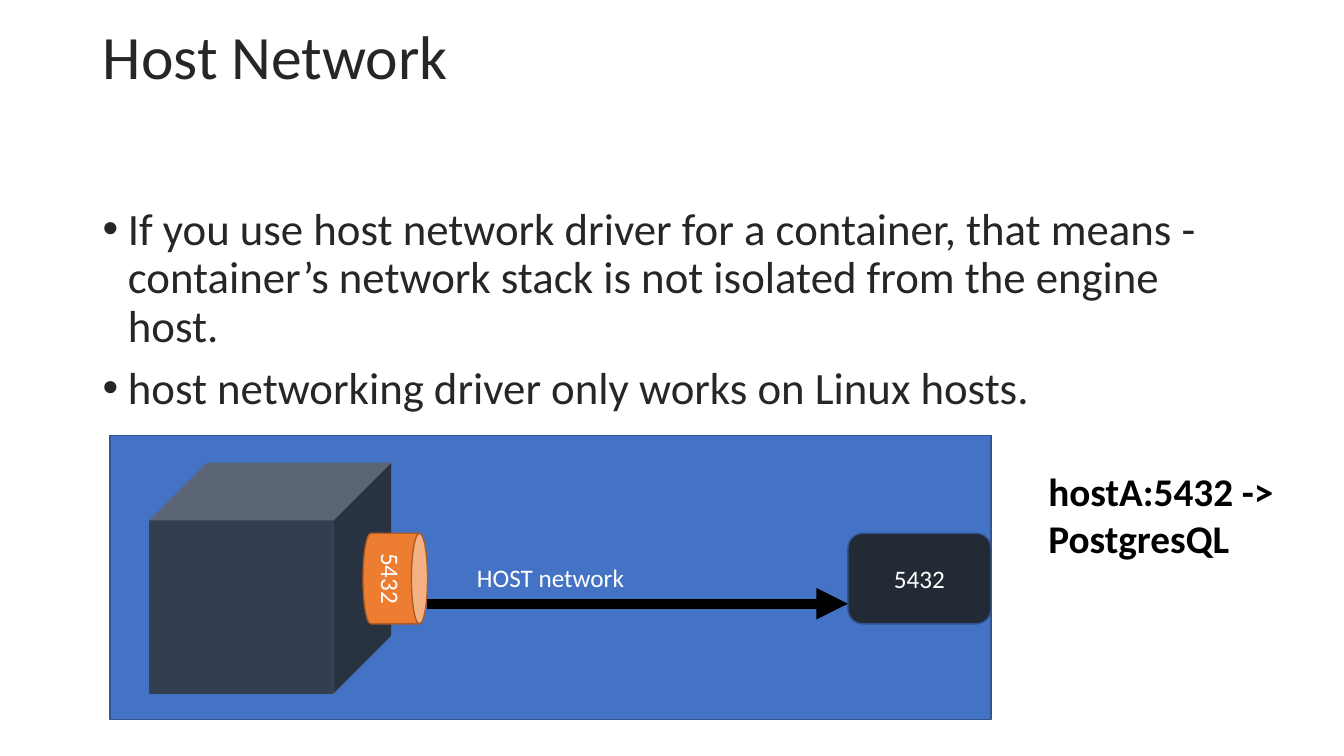
from dataclasses import dataclass

from lxml import etree
from pptx import Presentation
from pptx import util as u
from pptx.dml.color import RGBColor
from pptx.enum import shapes, text
from pptx.oxml import ns

TITLE = "Host Network"
BULLETS = [
    "If you use host network driver for a container, that means - "
    "container’s network stack is not isolated from the engine host.",
    "host networking driver only works on Linux hosts.",
]
NETWORK_LABEL = "HOST network"
PORT = "5432"
MAPPING = f"hostA:{PORT} -> PostgresQL"

TITLE_BOX = (0.92, 0, 12.42, 1.19)
BULLET_BOX = (0.92, 2, 11.5, 2.32)
HOST_BOX = (1.09, 4.32, 8.74, 2.82)
CONTAINER_BOX = (1.48, 4.59, 2.4, 2.29)
PORT_SIZE = (1.42, 0.9)
CAN_BOX = (3.47, 5.42, 0.9, 0.64)
MAPPING_BOX = (10.3, 4.59, 2.63, 1.04)
PORT_TOP, ARROW_Y = 5.29, 5.99


@dataclass(frozen=True)
class Theme:
    """Colours, font and type sizes of the slide."""
    font: str = "Calibri"
    ink: str = "262626"
    black: str = "000000"
    white: str = "FFFFFF"
    host: str = "4472C4"
    outline: str = "325491"
    container: str = "333F50"
    service: str = "222A35"
    can: str = "ED7D31"
    can_outline: str = "AF5C24"
    title_size: int = 44
    body_size: int = 32
    mapping_size: int = 28
    label_size: int = 18


THEME = Theme()


def inches(box):
    """Convert a tuple of inch values to lengths."""
    return [u.Inches(value) for value in box]


def colour(value):
    """Return the colour for a hex value."""
    return RGBColor.from_string(value)


def style(paragraph, size, hue, bold=False):
    """Set the font of a paragraph."""
    font = paragraph.font
    font.name, font.size, font.bold = THEME.font, u.Pt(size), bold
    font.color.rgb = colour(hue)


def add_part(slide, kind, box, fill, outline=None, label=None):
    """Add a filled preset shape with an optional centred label."""
    shape = slide.shapes.add_shape(kind, *inches(box))
    shape.shadow.inherit = False
    shape.fill.solid()
    shape.fill.fore_color.rgb = colour(fill)
    if outline:
        shape.line.color.rgb = colour(outline)
        shape.line.width = u.Pt(1)
    else:
        shape.line.fill.background()
    if label:
        frame = shape.text_frame
        frame.vertical_anchor = text.MSO_ANCHOR.MIDDLE
        paragraph = frame.paragraphs[0]
        paragraph.text = label
        paragraph.alignment = text.PP_ALIGN.CENTER
        style(paragraph, THEME.label_size, THEME.white)
    return shape


def add_title(slide):
    """Place and format the title."""
    title = slide.shapes.title
    title.left, title.top, title.width, title.height = inches(TITLE_BOX)
    frame = title.text_frame
    frame.auto_size = text.MSO_AUTO_SIZE.NONE
    frame.vertical_anchor = text.MSO_ANCHOR.MIDDLE
    paragraph = frame.paragraphs[0]
    paragraph.text = TITLE
    paragraph.alignment = text.PP_ALIGN.LEFT
    paragraph.line_spacing = 0.9
    style(paragraph, THEME.title_size, THEME.ink)


def add_bullets(slide):
    """Add the bulleted statements."""
    frame = slide.shapes.add_textbox(*inches(BULLET_BOX)).text_frame
    frame.word_wrap = True
    for index, statement in enumerate(BULLETS):
        paragraph = frame.add_paragraph() if index else frame.paragraphs[0]
        paragraph.text = statement
        paragraph.line_spacing = 0.9
        paragraph.space_before = u.Pt(10 if index else 0)
        properties = paragraph._p.get_or_add_pPr()
        properties.set("marL", str(u.Inches(0.25)))
        properties.set("indent", str(-u.Inches(0.25)))
        etree.SubElement(properties, ns.qn("a:buFont"), typeface="Arial")
        etree.SubElement(properties, ns.qn("a:buChar"), char="•")
        style(paragraph, THEME.body_size, THEME.ink)


def add_arrow(slide, start, end, y):
    """Add the thick horizontal arrow between the ports."""
    arrow = slide.shapes.add_connector(
        shapes.MSO_CONNECTOR.STRAIGHT, *inches((start, y, end, y)))
    arrow.line.color.rgb = colour(THEME.black)
    arrow.line.width = u.Pt(7.5)
    etree.SubElement(arrow.line._get_or_add_ln(), ns.qn("a:tailEnd"), type="triangle")
    etree.SubElement(arrow._element.spPr, ns.qn("a:effectLst"))


def add_diagram(slide):
    """Add the host with its container, ports and arrow."""
    preset = shapes.MSO_SHAPE
    add_part(slide, preset.RECTANGLE, HOST_BOX, THEME.host, THEME.outline, NETWORK_LABEL)
    add_part(slide, preset.CUBE, CONTAINER_BOX, THEME.container)
    port_left = HOST_BOX[0] + HOST_BOX[2] - PORT_SIZE[0]
    add_part(slide, preset.ROUNDED_RECTANGLE, (port_left, PORT_TOP, *PORT_SIZE),
             THEME.service, THEME.outline, PORT)
    can = add_part(slide, preset.CAN, CAN_BOX, THEME.can, THEME.can_outline, PORT)
    can.rotation = 90
    left, _, width, height = CAN_BOX
    add_arrow(slide, left + (width + height) / 2, port_left, ARROW_Y)


def add_mapping(slide):
    """Add the port mapping beside the host."""
    frame = slide.shapes.add_textbox(*inches(MAPPING_BOX)).text_frame
    frame.word_wrap = True
    frame.auto_size = text.MSO_AUTO_SIZE.SHAPE_TO_FIT_TEXT
    paragraph = frame.paragraphs[0]
    paragraph.text = MAPPING
    style(paragraph, THEME.mapping_size, THEME.black, bold=True)


def main():
    """Build and save the slide."""
    presentation = Presentation()
    presentation.slide_width, presentation.slide_height = inches((13.33, 7.5))
    slide = presentation.slides.add_slide(presentation.slide_layouts[5])
    add_title(slide)
    add_bullets(slide)
    add_diagram(slide)
    add_mapping(slide)
    presentation.save("out.pptx")


if __name__ == "__main__":
    main()
